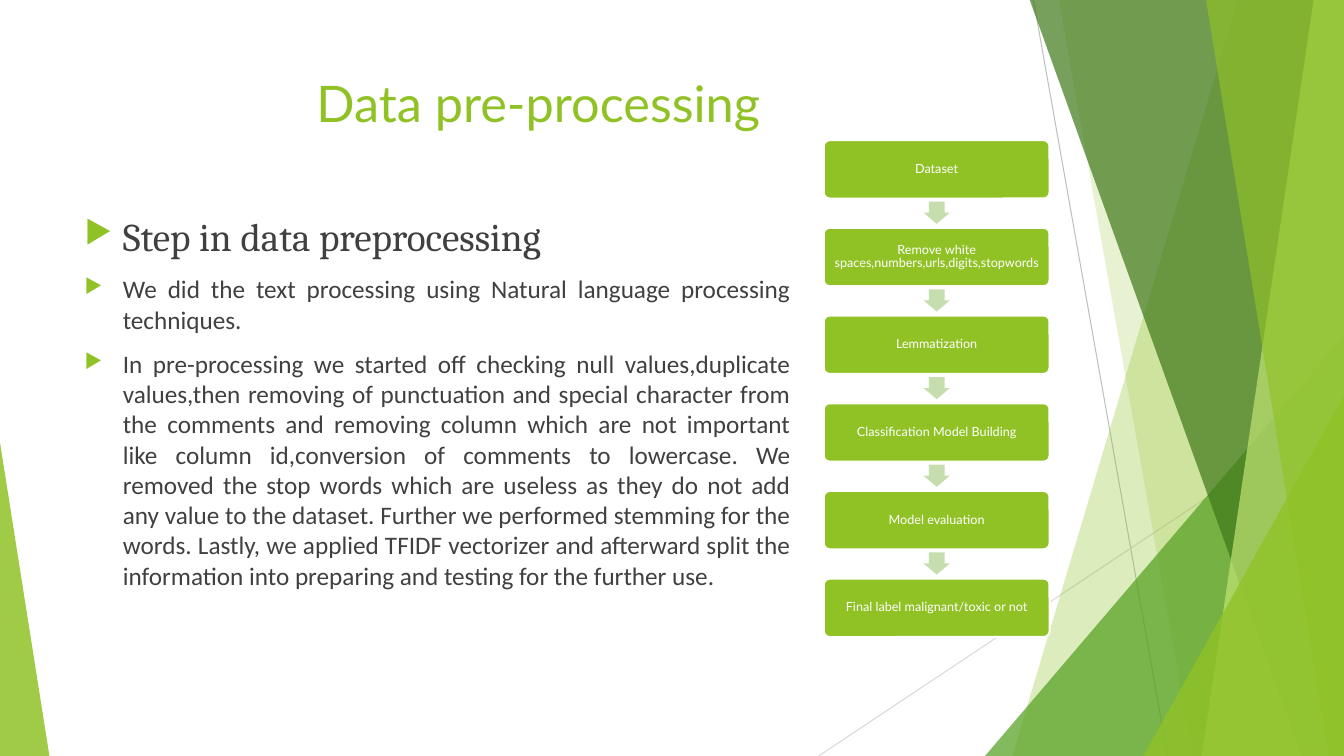
from dataclasses import dataclass

from lxml import etree
from pptx import Presentation, dml, util as u
from pptx.dml import color
from pptx.enum import shapes, text
from pptx.oxml import ns

GREEN, WHITE, GRAY = "90C226", "FFFFFF", "404040"
WIDE, HIGH = 13.33, 7.5


@dataclass
class Line:
    start: tuple[float, float]
    end: tuple[float, float]
    tint: str


@dataclass
class Shard:
    """Full-height band: left and right edge on top, left edge at the foot."""
    top: float
    foot: float
    tint: str
    alpha: int


@dataclass
class Wedge:
    left: float
    top: float
    width: float
    lean: int
    tint: str
    alpha: int


@dataclass
class Point:
    words: str
    font: str
    size: int
    gap: int


LINES = [
    Line((10.25, 0), (11.58, HIGH), "BFBFBF"),
    Line((WIDE, 4.03), (8.12, HIGH), "D9D9D9"),
]
DECOR = [
    Shard(12.28, 10.04, GREEN, 30),
    Shard(10.5, 11.83, GREEN, 20),
    Wedge(9.77, 3.33, 3.56, 1, "54A021", 72),
    Shard(10.21, 12.91, "3F7819", 70),
    Shard(13.03, 11.92, "C0E474", 70),
    Shard(11.96, 13.18, GREEN, 65),
    Wedge(11.34, 3.93, 1.99, 1, GREEN, 80),
    Wedge(0, 4.39, 0.49, 0, GREEN, 85),
]
POINTS = [
    Point("Step in data preprocessing", "Cambria", 28, 0),
    Point("We did the text processing using Natural language processing techniques.",
          "Calibri", 18, 10),
    Point("In pre-processing we started off checking null values,duplicate values,then "
          "removing of punctuation and special character from the comments and removing "
          "column which are not important like column id,conversion of comments to "
          "lowercase. We removed the stop words which are useless as they do not add any "
          "value to the dataset. Further we performed stemming for the words. Lastly, we "
          "applied TFIDF vectorizer and afterward split the information into preparing "
          "and testing for the further use.", "Calibri", 18, 10),
]
STEPS = [
    "Dataset",
    "Remove white spaces,numbers,urls,digits,stopwords",
    "Lemmatization",
    "Classification Model Building",
    "Model evaluation",
    "Final label malignant/toxic or not",
]


def rgb(code: str) -> color.RGBColor:
    return color.RGBColor.from_string(code)


def add(parent, tag: str, **attrs: str):
    return etree.SubElement(parent, ns.qn(tag), attrs)


def paint(shape, tint: str, alpha: int = 100) -> None:
    shape.shadow.inherit = False
    shape.fill.solid()
    shape.fill.fore_color.rgb = rgb(tint)
    shape.line.fill.background()
    if alpha < 100:
        tone = shape.fill._xPr.find(".//" + ns.qn("a:srgbClr"))
        add(tone, "a:alpha", val=str(alpha * 1000))


def style(para, font: str, size: int, tint: str) -> None:
    for run in para.runs:
        run.font.name = font
        run.font.size = u.Pt(size)
        run.font.color.rgb = rgb(tint)


def draw_line(slide, line: Line) -> None:
    ends = [u.Inches(n) for n in line.start + line.end]
    link = slide.shapes.add_connector(shapes.MSO_CONNECTOR.STRAIGHT, *ends)
    link.line.color.rgb = rgb(line.tint)
    link.line.width = u.Pt(0.75)
    add(link._element.spPr, "a:effectLst")


def draw_shard(slide, shard: Shard) -> None:
    spots = [(u.Inches(x), u.Inches(y)) for x, y in (
        (shard.top, -0.01), (WIDE, -0.01), (WIDE, HIGH), (shard.foot, HIGH))]
    path = slide.shapes.build_freeform(*spots[0])
    path.add_line_segments(spots[1:], close=True)
    paint(path.convert_to_shape(), shard.tint, shard.alpha)


def draw_wedge(slide, wedge: Wedge) -> None:
    shape = slide.shapes.add_shape(
        shapes.MSO_SHAPE.ISOSCELES_TRIANGLE, u.Inches(wedge.left), u.Inches(wedge.top),
        u.Inches(wedge.width), u.Inches(HIGH - wedge.top))
    shape.adjustments[0] = wedge.lean
    paint(shape, wedge.tint, wedge.alpha)


def draw_title(slide) -> None:
    box = slide.shapes.add_textbox(
        u.Inches(0.74), u.Inches(0.67), u.Inches(9.4), u.Inches(1.44))
    box.text_frame.word_wrap = True
    para = box.text_frame.paragraphs[0]
    para.text = "Data pre-processing"
    para._p.get_or_add_pPr().set("marL", str(u.Inches(2.3)))
    style(para, "Lato", 36, GREEN)


def draw_points(slide) -> None:
    box = slide.shapes.add_textbox(
        u.Inches(0.74), u.Inches(1.5), u.Inches(7.2), u.Inches(5.11))
    frame = box.text_frame
    frame.word_wrap = True
    frame.margin_top = u.Inches(0.61)
    for i, point in enumerate(POINTS):
        para = frame.add_paragraph() if i else frame.paragraphs[0]
        para.text = point.words
        para.alignment = text.PP_ALIGN.JUSTIFY
        para.space_before = u.Pt(point.gap)
        style(para, point.font, point.size, GRAY)
        props = para._p.get_or_add_pPr()
        props.set("marL", str(u.Inches(0.38)))
        props.set("indent", str(-u.Inches(0.38)))
        add(add(props, "a:buClr"), "a:srgbClr", val=GREEN)
        add(props, "a:buSzPct", val="80000")
        add(props, "a:buChar", char="▶")


def draw_step(slide, words: str, top: float) -> None:
    box = slide.shapes.add_shape(
        shapes.MSO_SHAPE.ROUNDED_RECTANGLE, u.Inches(8.17), u.Inches(top),
        u.Inches(2.24), u.Inches(0.58))
    box.adjustments[0] = 0.1
    paint(box, GREEN)
    box.line.color.rgb = rgb(WHITE)
    box.line.width = u.Pt(1.5)
    frame = box.text_frame
    frame.word_wrap = True
    frame.vertical_anchor = text.MSO_ANCHOR.MIDDLE
    frame.margin_left = frame.margin_right = u.Inches(0.05)
    frame.margin_top = frame.margin_bottom = u.Inches(0.05)
    para = frame.paragraphs[0]
    para.text = words
    para.alignment = text.PP_ALIGN.CENTER
    para.line_spacing = 0.9
    style(para, "Lato", 9, WHITE)


def draw_arrow(slide, top: float) -> None:
    arrow = slide.shapes.add_shape(
        shapes.MSO_SHAPE.RIGHT_ARROW, u.Inches(9.18), u.Inches(top),
        u.Inches(0.22), u.Inches(0.26))
    arrow.rotation = 90
    arrow.adjustments[0] = 0.6
    paint(arrow, "C6DDAD")


def main() -> None:
    deck = Presentation()
    deck.slide_width, deck.slide_height = u.Inches(WIDE), u.Inches(HIGH)
    slide = deck.slides.add_slide(deck.slide_layouts[6])

    # Backdrop
    for line in LINES:
        draw_line(slide, line)
    for part in DECOR:
        if isinstance(part, Shard):
            draw_shard(slide, part)
        else:
            draw_wedge(slide, part)

    # Title and bullets
    draw_title(slide)
    draw_points(slide)

    # Flow chart
    for i, words in enumerate(STEPS):
        top = 1.39 + 0.87 * i
        draw_step(slide, words, top)
        if i < len(STEPS) - 1:
            draw_arrow(slide, top + 0.59)

    deck.save("out.pptx")


if __name__ == "__main__":
    main()
